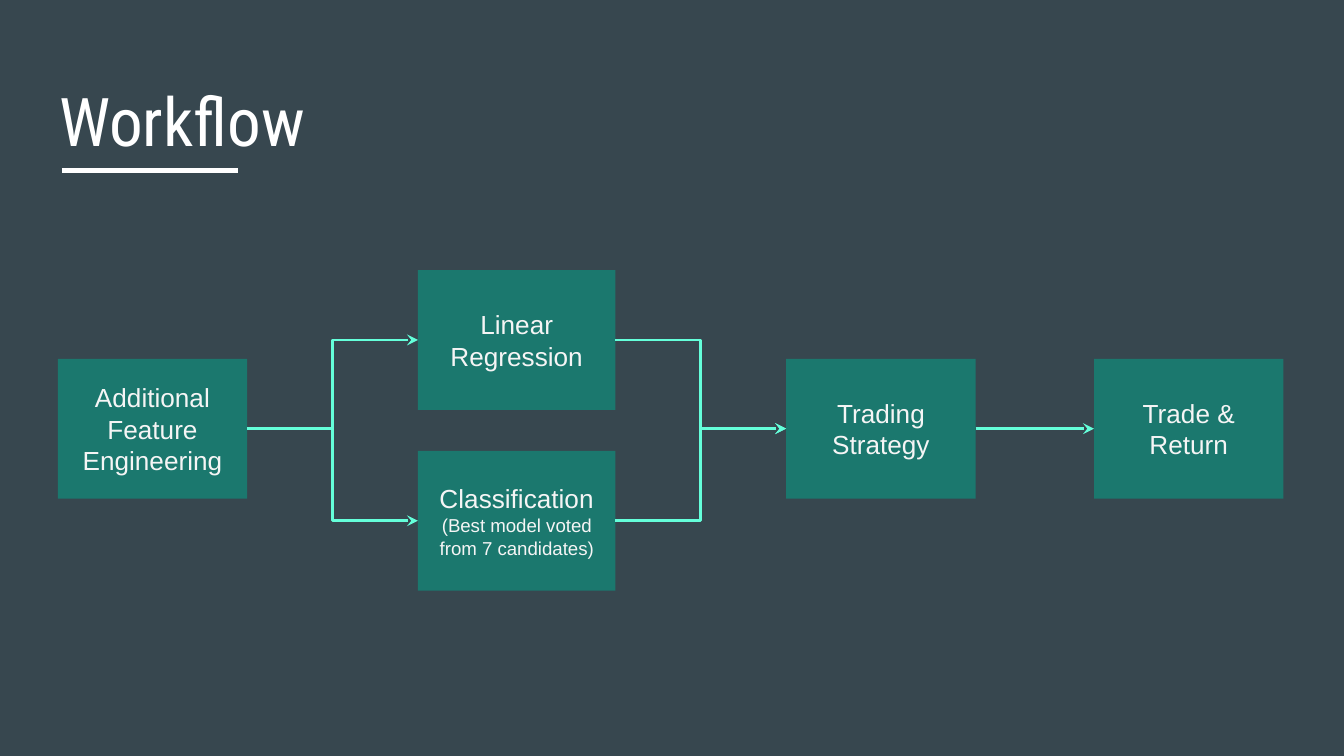
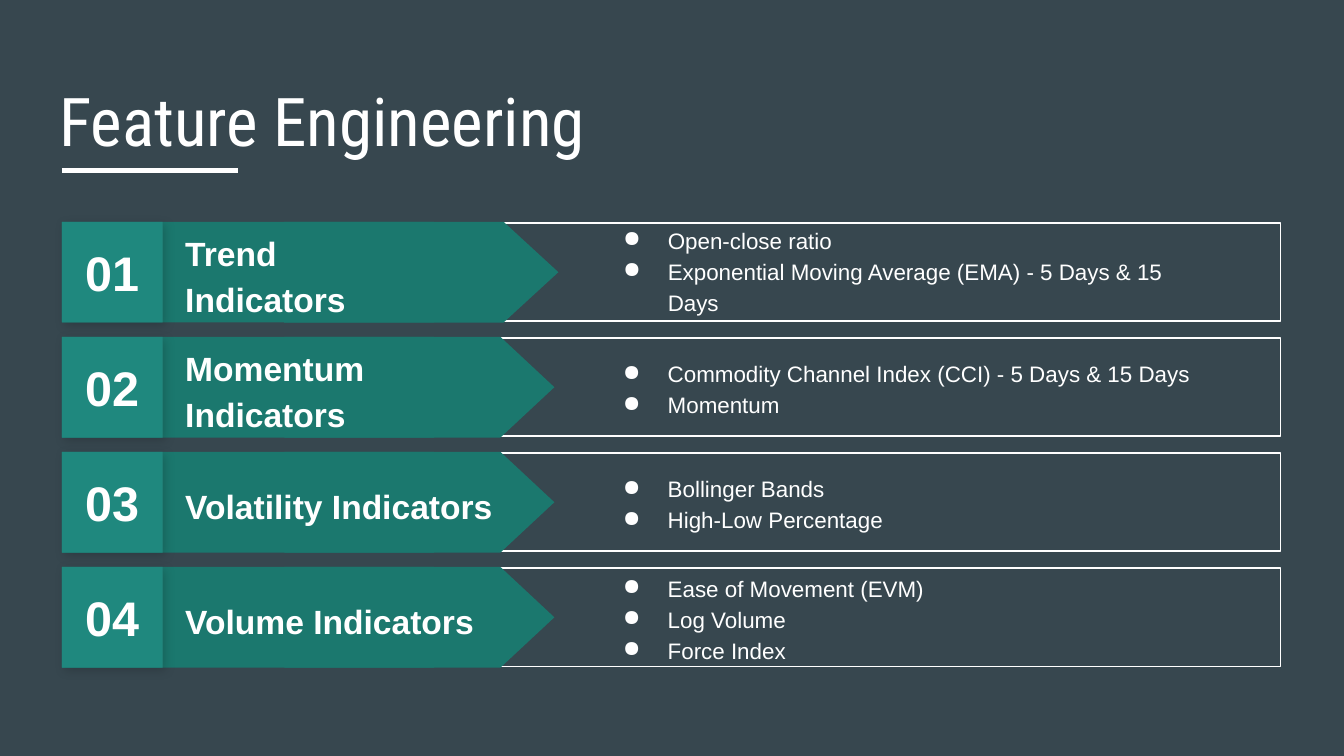
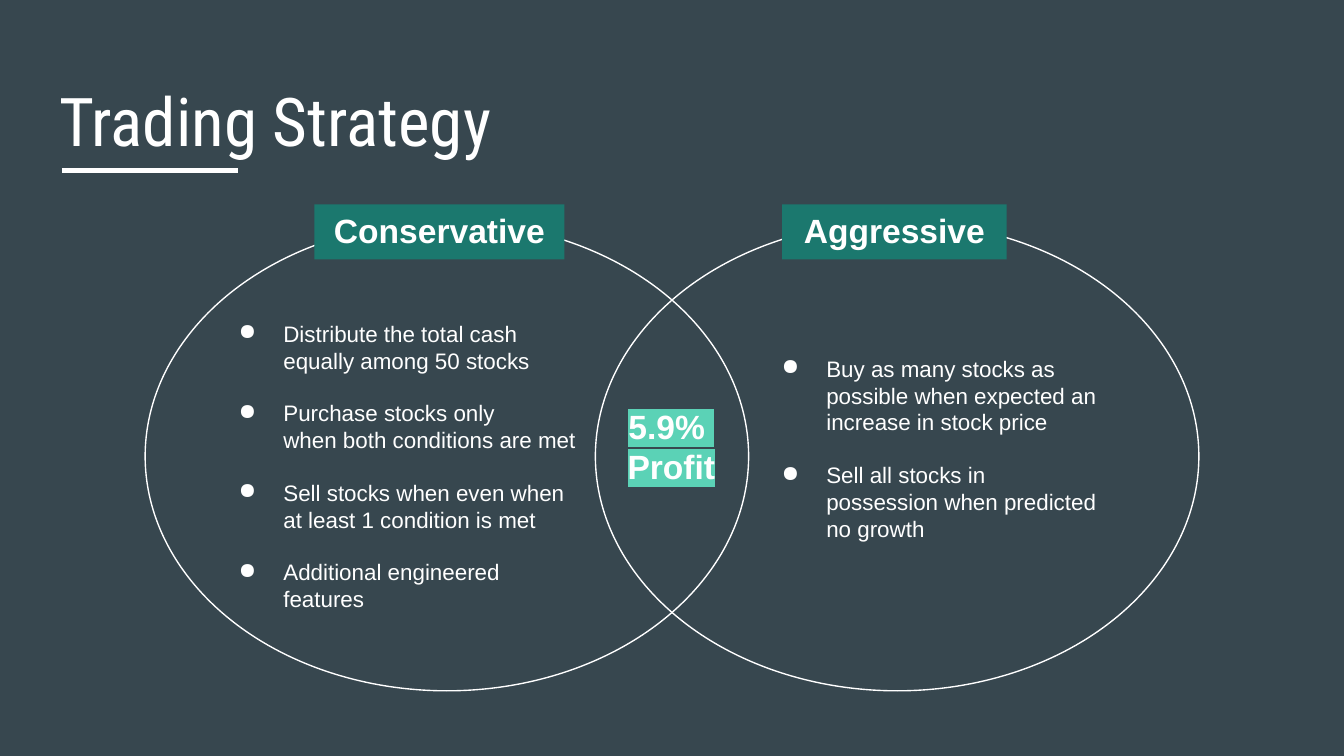
import copy
from dataclasses import dataclass
from typing import Any, NamedTuple, Optional

import lxml.etree
import pptx
import pptx.dml.color
import pptx.enum.shapes
import pptx.enum.text
import pptx.oxml.ns
import pptx.util

KIND = pptx.enum.shapes.MSO_SHAPE
LINK = pptx.enum.shapes.MSO_CONNECTOR
ALIGN = pptx.enum.text.PP_ALIGN
ANCHOR = pptx.enum.text.MSO_ANCHOR
Pt = pptx.util.Pt
qn = pptx.oxml.ns.qn

HUES = {
    "slate": "37474F",
    "white": "FFFFFF",
    "pale": "F5F5F5",
    "teal": "1B786E",
    "sea": "1F887E",
    "deep": "1D7E74",
    "mint": "64FFDA",
    "glow": "5BD2B6",
    "black": "000000",
}
CELL = pptx.util.Inches(0.1)  # the slide is a grid of 100 columns
RIGHT, LEFT = 3, 1


class Area(NamedTuple):
    """Left column, top row, columns wide, rows high."""
    col: float
    row: float
    wide: float
    high: float


@dataclass(frozen=True)
class Look:
    size: float
    hue: str = "white"
    bold: bool = False
    face: str = "Arial"
    align: Any = ALIGN.LEFT
    lead: Optional[float] = None
    after: float = 0
    dot: bool = False
    glow: str = ""


@dataclass(frozen=True)
class Step:
    area: Area
    text: str
    note: str = ""


@dataclass(frozen=True)
class Theme:
    """A numbered row: its name and its points."""
    name: str
    points: tuple
    name_wide: float = 26.1
    list_wide: float = 48.3
    tip: float = 20.1
    lift: float = 0


@dataclass(frozen=True)
class Plan:
    """One side of the Venn chart."""
    name: str
    tag: Area
    list_area: Area
    points: tuple


TITLE = Look(36, face="Roboto Condensed")
STEP = Look(14, "pale", align=ALIGN.CENTER)
NOTE = Look(10, "pale", align=ALIGN.CENTER)
NAME = Look(18, bold=True, lead=1.15)
COUNT = Look(26, bold=True, align=ALIGN.CENTER)
POINT = Look(12, lead=1.15, dot=True)
RULE = Look(12, after=13.8, dot=True)
TAG = Look(18, bold=True, align=ALIGN.CENTER)
PROFIT = Look(18, bold=True, align=ALIGN.CENTER, glow="glow")

TITLE_AREA = Area(3.4, 4.9, 93.2, 6.3)

STEPS = {
    "linear": Step(Area(31.1, 20.1, 14.7, 10.4), "Linear Regression"),
    "class": Step(Area(31.1, 33.55, 14.7, 10.4), "Classification",
                  "(Best model voted from 7 candidates)"),
    "trade": Step(Area(58.5, 26.7, 14.1, 10.4), "Trading Strategy"),
    "return": Step(Area(81.4, 26.7, 14.1, 10.4), "Trade & Return"),
    "extra": Step(Area(4.3, 26.7, 14.1, 10.4), "Additional Feature Engineering"),
}
FLOWS = [
    ("extra", "linear", LINK.ELBOW),
    ("extra", "class", LINK.ELBOW),
    ("linear", "trade", LINK.ELBOW),
    ("class", "trade", LINK.ELBOW),
    ("trade", "return", LINK.STRAIGHT),
]

THEMES = [
    Theme("Trend Indicators",
          ("Open-close ratio",
           "Exponential Moving Average (EMA) - 5 Days & 15 Days"),
          name_wide=21.2, list_wide=46.8, tip=20.4, lift=0.2),
    Theme("Momentum Indicators",
          ("Commodity Channel Index (CCI) - 5 Days & 15 Days", "Momentum")),
    Theme("Volatility Indicators", ("Bollinger Bands", "High-Low Percentage")),
    Theme("Volume Indicators",
          ("Ease of Movement (EVM)", "Log Volume", "Force Index")),
]
FIRST_ROW, PITCH, SIDE = 16.5, 8.56, 7.5

PLANS = [
    Plan("Conservative", Area(23.4, 15.2, 18.6, 4.1), Area(15.1, 22.8, 29.2, 24.6),
         ("Distribute the total cash equally among 50 stocks",
          "Purchase stocks only \nwhen both conditions are met",
          "Sell stocks when even when \nat least 1 condition is met",
          "Additional engineered features")),
    Plan("Aggressive", Area(58.2, 15.2, 16.7, 4.1), Area(55.5, 25.4, 27.4, 15.2),
         ("Buy as many stocks as\npossible when expected an\nincrease in stock price",
          "Sell all stocks in possession when predicted no growth")),
]


def paint(hue: str) -> pptx.dml.color.RGBColor:
    return pptx.dml.color.RGBColor.from_string(HUES[hue])


def scale(area: tuple) -> list[int]:
    return [round(n * CELL) for n in area]


def apply(thing: Any, values: dict) -> None:
    for key, value in values.items():
        setattr(thing, key, value)


def add_node(parent: Any, tag: str, **values: Any) -> Any:
    return lxml.etree.SubElement(
        parent, qn(tag), {key: str(value) for key, value in values.items()})


def add_dot(para: Any) -> None:
    props = para._p.get_or_add_pPr()
    props.set("marL", str(5 * CELL))
    props.set("indent", str(round(-3.33 * CELL)))
    add_node(add_node(props, "a:buClr"), "a:srgbClr", val=HUES["white"])
    add_node(props, "a:buChar", char="●")


def write(shape: Any, lines: list[tuple[str, Look]],
          anchor: Any = ANCHOR.MIDDLE, top: float = 1) -> None:
    frame = shape.text_frame
    apply(frame, {
        "word_wrap": True, "auto_size": pptx.enum.text.MSO_AUTO_SIZE.NONE,
        "vertical_anchor": anchor, "margin_top": round(top * CELL),
        "margin_left": CELL, "margin_right": CELL, "margin_bottom": CELL})
    for i, (text, look) in enumerate(lines):
        para = frame.add_paragraph() if i else frame.paragraphs[0]
        para.text = text.replace("\n", "\v")
        apply(para, {"alignment": look.align, "line_spacing": look.lead,
                     "space_before": Pt(0), "space_after": Pt(look.after)})
        if look.dot:
            add_dot(para)
        for run in para.runs:
            apply(run.font, {"size": Pt(look.size), "name": look.face,
                             "bold": look.bold})
            run.font.color.rgb = paint(look.hue)
            if look.glow:
                props = run._r.get_or_add_rPr()
                mark = add_node(props, "a:highlight")
                add_node(mark, "a:srgbClr", val=HUES[look.glow])
                props.find(qn("a:latin")).addprevious(mark)
        for gap in para._p.findall(qn("a:br")):
            gap.insert(0, copy.deepcopy(para.runs[0]._r.rPr))


def draw(shapes: Any, area: Area, fill: str = "", line: str = "",
         kind: Any = KIND.RECTANGLE) -> Any:
    shape = shapes.add_shape(kind, *scale(area))
    shape.shadow.inherit = False
    if fill:
        shape.fill.solid()
        shape.fill.fore_color.rgb = paint(fill)
    else:
        shape.fill.background()
    if line:
        shape.line.color.rgb = paint(line)
        shape.line.width = Pt(0.75)
    else:
        shape.line.fill.background()
    return shape


def add_text(shapes: Any, area: Area, lines: list[tuple[str, Look]],
             anchor: Any = ANCHOR.MIDDLE) -> None:
    write(shapes.add_textbox(*scale(area)), lines, anchor)


def add_line(shapes: Any, kind: Any, ends: tuple, hue: str, width: float) -> Any:
    line = shapes.add_connector(kind, *scale(ends))
    line.line.color.rgb = paint(hue)
    line.line.width = Pt(width)
    add_node(line._element.spPr, "a:effectLst")
    return line


def add_slide(deck: Any, title: str) -> Any:
    slide = deck.slides.add_slide(deck.slide_layouts[5])
    slide.background.fill.solid()
    slide.background.fill.fore_color.rgb = paint("slate")
    head = slide.shapes.title
    apply(head, dict(zip(("left", "top", "width", "height"), scale(TITLE_AREA))))
    write(head, [(title, TITLE)], ANCHOR.TOP)
    add_line(slide.shapes, LINK.STRAIGHT, (4.6, 12.7, 17.7, 12.7), "white", 3)
    return slide.shapes


def add_flow(deck: Any) -> None:
    shapes = add_slide(deck, "Workflow")
    boxes = {}
    for key, step in STEPS.items():
        boxes[key] = draw(shapes, step.area, "teal")
        lines = [(step.text, STEP)]
        if step.note:
            lines.append((step.note, NOTE))
        write(boxes[key], lines)
    for start, end, kind in FLOWS:
        a, b = STEPS[start].area, STEPS[end].area
        ends = (a.col + a.wide, a.row + a.high / 2, b.col, b.row + b.high / 2)
        arrow = add_line(shapes, kind, ends, "mint", 1.5)
        arrow.begin_connect(boxes[start], RIGHT)
        arrow.end_connect(boxes[end], LEFT)
        add_node(arrow.line._get_or_add_ln(), "a:tailEnd", type="stealth")


def add_shade(shape: Any) -> None:
    """Cast a soft shadow down and to the right."""
    effects = shape._element.spPr.find(qn("a:effectLst"))
    shade = add_node(effects, "a:outerShdw", blurRad=Pt(5.6), dist=Pt(2.2),
                     dir=45 * 60000, algn="tl", rotWithShape=0)
    hue = add_node(shade, "a:srgbClr", val=HUES["black"])
    add_node(hue, "a:alpha", val=17000)


def add_theme(shapes: Any, i: int, theme: Theme) -> None:
    row = FIRST_ROW + i * PITCH
    draw(shapes, Area(27.9, row + 0.1, 67.4, 7.3), line="white")
    draw(shapes, Area(12.1, row, 20.2, SIDE), "teal")
    # turned on its side, so the box is laid out about its centre
    mid, half = 21.15 + theme.tip / 2, row + SIDE / 2
    tip = draw(shapes, Area(mid - SIDE / 2, half - theme.tip / 2, SIDE, theme.tip),
               "teal", kind=KIND.FLOWCHART_OFFPAGE_CONNECTOR)
    tip.rotation = 270
    add_text(shapes, Area(12.8, row + 0.9, theme.name_wide, 5.8),
             [(theme.name, NAME)])
    square = Area(4.6, row, SIDE, SIDE)
    add_shade(draw(shapes, square, "deep"))
    write(draw(shapes, square, "sea"), [(f"{i + 1:02}", COUNT)])
    add_text(shapes, Area(43.7, row - theme.lift, theme.list_wide, SIDE),
             [(point, POINT) for point in theme.points])


def add_themes(deck: Any) -> None:
    shapes = add_slide(deck, "Feature Engineering")
    for i, theme in enumerate(THEMES):
        add_theme(shapes, i, theme)


def add_plans(deck: Any) -> None:
    shapes = add_slide(deck, "Trading Strategy")
    rings = shapes.add_group_shape().shapes
    for col in (10.8, 44.3):
        draw(rings, Area(col, 16.5, 44.9, 34.9), line="white", kind=KIND.OVAL)
    for plan in PLANS:
        write(draw(shapes, plan.tag, "teal"), [(plan.name, TAG)], ANCHOR.TOP, 0.4)
        add_text(shapes, plan.list_area,
                 [(point, RULE) for point in plan.points], ANCHOR.TOP)
    add_text(shapes, Area(44.9, 29.2, 10.1, 9.5),
             [("5.9% \nProfit", PROFIT)], ANCHOR.TOP)


def main() -> None:
    deck = pptx.Presentation()
    apply(deck, {"slide_width": 100 * CELL, "slide_height": round(56.25 * CELL)})
    add_flow(deck)
    add_themes(deck)
    add_plans(deck)
    deck.save("out.pptx")


if __name__ == "__main__":
    main()
